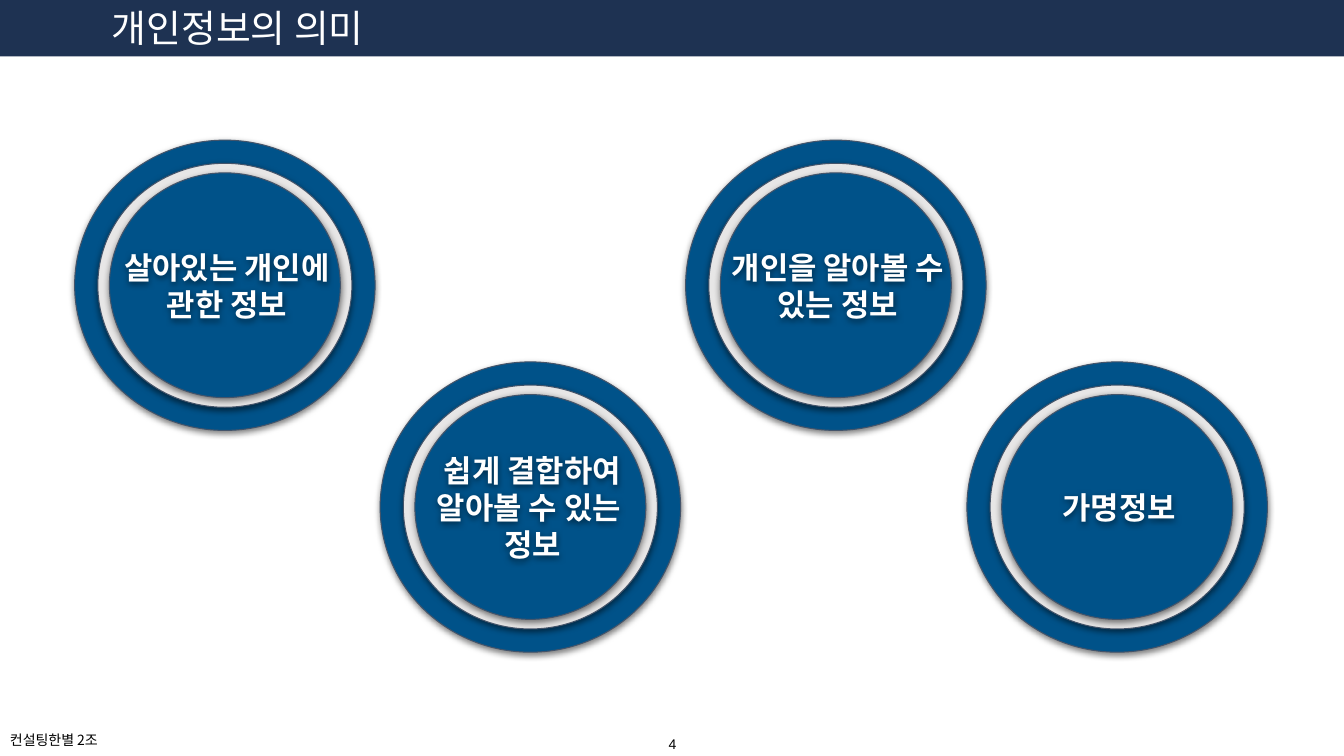
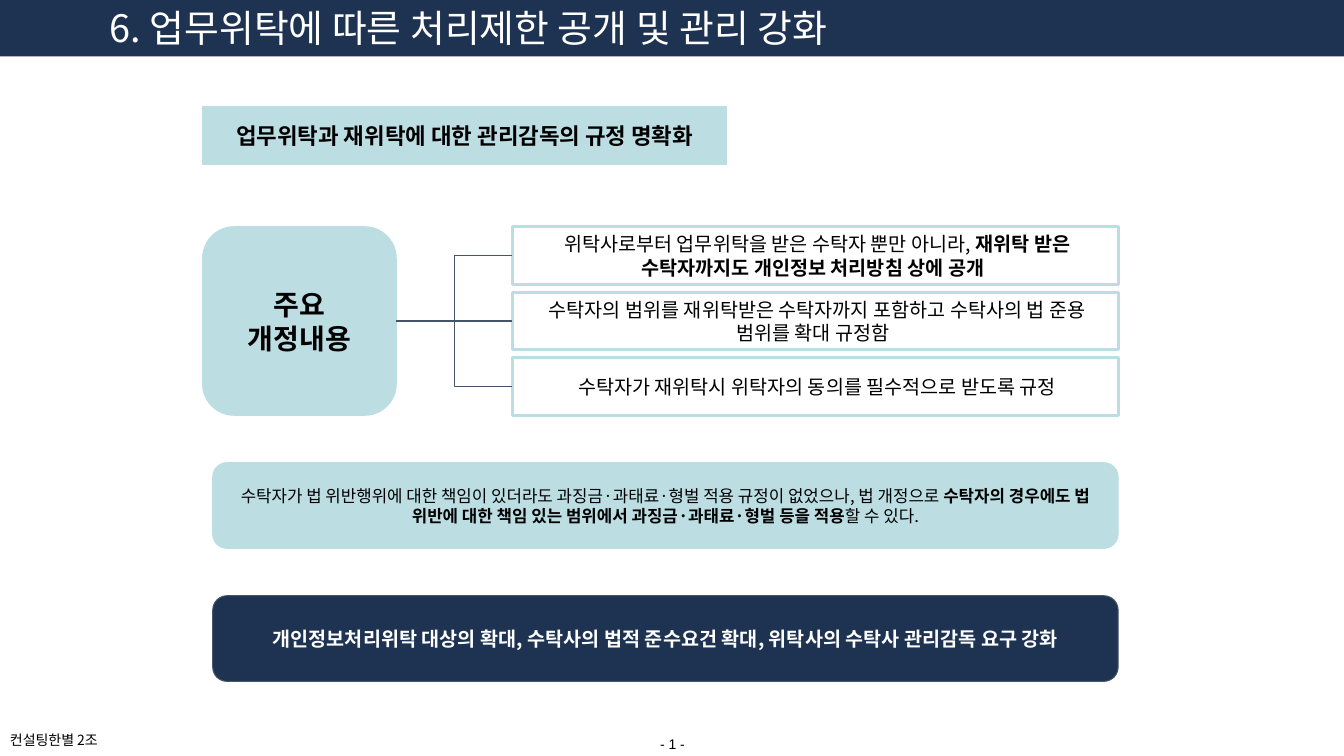
import dataclasses
import typing

import lxml.etree
import pptx
import pptx.dml.color
import pptx.enum.shapes
import pptx.enum.text
import pptx.oxml.ns
import pptx.shapes.autoshape
import pptx.slide
import pptx.util

Inches = pptx.util.Inches
Pt = pptx.util.Pt
RGBColor = pptx.dml.color.RGBColor
Shape = pptx.shapes.autoshape.Shape
Slide = pptx.slide.Slide
Kind = pptx.enum.shapes.MSO_SHAPE
Align = pptx.enum.text.PP_ALIGN
Anchor = pptx.enum.text.MSO_ANCHOR
qn = pptx.oxml.ns.qn

NAVY = RGBColor(0x1E, 0x32, 0x52)
BLUE = RGBColor(0x00, 0x52, 0x89)
SILVER = RGBColor(0xE7, 0xE6, 0xE6)
AQUA = RGBColor(0xBC, 0xDE, 0xE3)
SLATE = RGBColor(0x44, 0x54, 0x6A)
WHITE = RGBColor(0xFF, 0xFF, 0xFF)
BLACK = RGBColor(0x00, 0x00, 0x00)

KOREAN = "Noto Sans CJK KR"
LATIN = "Arial"
FOOTER = "컨설팅한별 2조"


class Span(typing.NamedTuple):
    text: str
    bold: bool = False


Paragraphs = list[list[Span]]


class Area(typing.NamedTuple):
    left: float
    top: float
    width: float
    height: float

    def lengths(self) -> list[pptx.util.Length]:
        return [Inches(value) for value in self]


@dataclasses.dataclass(frozen=True)
class Badge:
    center_x: float
    center_y: float
    paragraphs: Paragraphs


@dataclasses.dataclass(frozen=True)
class Panel:
    area: Area
    paragraphs: Paragraphs
    size: int
    kind: Kind = Kind.RECTANGLE
    fill: RGBColor = AQUA
    line: RGBColor = AQUA
    line_width: float = 0.75
    color: RGBColor = BLACK


RINGS = [(2.98, 2.88, BLUE), (2.52, 2.42, SILVER), (2.29, 2.23, BLUE)]

BADGES = [
    Badge(2.23, 2.83, [[Span("살아있는 개인에 관한 정보", True)]]),
    Badge(5.26, 5.03, [[Span("쉽게 결합하여 알아볼 수 있는 ", True)], [Span("정보", True)]]),
    Badge(11.08, 5.03, [[Span("가명정보", True)]]),
    Badge(8.29, 2.83, [[Span("개인을 알아볼 수 있는 정보", True)]]),
]

HEADING = Panel(
    Area(2.01, 1.06, 5.2, 0.57),
    [[Span("업무위탁과 재위탁에 대한 관리감독의 규정 명확화", True)]],
    16,
)

HUB = Panel(
    Area(2.01, 2.25, 1.92, 1.87),
    [[Span("주요 개정내용", True)]],
    20,
    kind=Kind.ROUNDED_RECTANGLE,
)

DETAIL_TOP, DETAIL_STEP = 2.25, 0.65
DETAILS = [
    [
        Span(" 위탁사로부터 업무위탁을 받은 수탁자 뿐만 아니라, "),
        Span("재위탁 받은 수탁자까지도 개인정보 처리방침 상에 공개 ", True),
    ],
    [Span(" 수탁자의 범위를 재위탁받은 수탁자까지 포함하고 수탁사의 법 준용 범위를 확대 규정함 ")],
    [Span(" 수탁자가 재위탁시 위탁자의 동의를 필수적으로 받도록 규정")],
]

LIABILITY = Panel(
    Area(2.11, 4.59, 8.98, 0.85),
    [[
        Span("수탁자가 법 위반행위에 대한 책임이 있더라도 과징금·과태료·형벌 적용 규정이 없었으나, 법 개정으로 "),
        Span("수탁자의 경우에도 법 위반에 대한 책임 있는 범위에서 과징금·과태료·형벌 등을 적용", True),
        Span("할 수 있다."),
    ]],
    12,
    kind=Kind.ROUNDED_RECTANGLE,
)

CONCLUSION = Panel(
    Area(2.11, 5.91, 8.98, 0.85),
    [[Span("개인정보처리위탁 대상의 확대, 수탁사의 법적 준수요건 확대, 위탁사의 수탁사 관리감독 요구 강화", True)]],
    14,
    kind=Kind.ROUNDED_RECTANGLE,
    fill=NAVY,
    line=SLATE,
    color=WHITE,
)


def write_text(
    box: Shape,
    paragraphs: Paragraphs,
    *,
    size: int,
    color: RGBColor = BLACK,
    font: str = KOREAN,
    align: Align = Align.CENTER,
    anchor: Anchor = Anchor.MIDDLE,
    inset: float = 0.05,
) -> None:
    frame = box.text_frame
    frame.word_wrap = True
    frame.vertical_anchor = anchor
    frame.margin_left = frame.margin_right = Inches(0.1)
    frame.margin_top = frame.margin_bottom = Inches(inset)
    for index, spans in enumerate(paragraphs):
        para = frame.paragraphs[0] if index == 0 else frame.add_paragraph()
        para.alignment = align
        for span in spans:
            run = para.add_run()
            run.text = span.text
            run.font.size = Pt(size)
            run.font.bold = span.bold
            run.font.color.rgb = color
            run.font.name = font
            latin = run.font._element.find(qn("a:latin"))
            east_asian = lxml.etree.Element(qn("a:ea"), typeface=font)
            latin.addnext(east_asian)


def add_box(
    shapes: typing.Any,
    kind: Kind,
    area: Area,
    fill: RGBColor,
    line: typing.Optional[RGBColor] = None,
    line_width: float = 0.75,
) -> Shape:
    box = shapes.add_shape(kind, *area.lengths())
    box.fill.solid()
    box.fill.fore_color.rgb = fill
    if line is None:
        box.line.fill.background()
    else:
        box.line.color.rgb = line
        box.line.width = Pt(line_width)
    box.shadow.inherit = False
    return box


def add_soft_shadow(box: Shape) -> None:
    box.shadow.inherit = False
    effects = box._element.spPr.find(qn("a:effectLst"))
    shadow = lxml.etree.SubElement(
        effects, qn("a:outerShdw"),
        blurRad=str(Pt(4.5)), dist=str(Pt(1.5)), dir="5400000", rotWithShape="0",
    )
    tint = lxml.etree.SubElement(shadow, qn("a:srgbClr"), val=str(BLACK))
    lxml.etree.SubElement(tint, qn("a:alpha"), val="50000")


def add_page(deck: typing.Any, title: str, title_left: float, number: str) -> Slide:
    page = deck.slides.add_slide(deck.slide_layouts[6])
    shapes = page.shapes
    footer = shapes.add_textbox(*Area(0, 7.17, 1.41, 0.37).lengths())
    write_text(footer, [[Span(FOOTER)]], size=10, align=Align.LEFT, anchor=Anchor.TOP, inset=0.1)
    add_box(shapes, Kind.RECTANGLE, Area(0, 0, 13.33, 0.56), NAVY)
    heading = shapes.add_textbox(*Area(title_left, 0, 11, 0.58).lengths())
    write_text(heading, [[Span(title)]], size=27, color=WHITE, align=Align.LEFT, anchor=Anchor.TOP)
    page_number = shapes.add_textbox(*Area(6.27, 7.25, 0.8, 0.29).lengths())
    write_text(page_number, [[Span(number)]], size=10, font=LATIN, anchor=Anchor.TOP)
    return page


def add_badge(page: Slide, badge: Badge) -> None:
    group = page.shapes.add_group_shape()
    for width, height, fill in RINGS:
        area = Area(badge.center_x - width / 2, badge.center_y - height / 2, width, height)
        add_soft_shadow(add_box(group.shapes, Kind.OVAL, area, fill, SLATE))
    label_area = Area(badge.center_x - 1.33, badge.center_y - 1.18, 2.7, 2.36)
    label = group.shapes.add_textbox(*label_area.lengths())
    add_soft_shadow(label)
    write_text(label, badge.paragraphs, size=22, color=WHITE)


def add_panel(page: Slide, panel: Panel) -> Shape:
    box = add_box(page.shapes, panel.kind, panel.area, panel.fill, panel.line, panel.line_width)
    write_text(box, panel.paragraphs, size=panel.size, color=panel.color, inset=0.1)
    return box


def connect(page: Slide, start: Shape, end: Shape) -> None:
    start_y = start.top + start.height // 2
    end_y = end.top + end.height // 2
    level = abs(start_y - end_y) < Inches(0.02)
    kinds = pptx.enum.shapes.MSO_CONNECTOR
    link = page.shapes.add_connector(
        kinds.STRAIGHT if level else kinds.ELBOW,
        start.left + start.width, start_y, end.left, end_y,
    )
    link.begin_connect(start, 3)
    link.end_connect(end, 1)
    link.line.color.rgb = SLATE
    link.line.width = Pt(0.75)
    lxml.etree.SubElement(link._element.spPr, qn("a:effectLst"))


def build_meaning_page(deck: typing.Any) -> None:
    page = add_page(deck, "개인정보의 의미", 1.01, "4")
    for badge in BADGES:
        add_badge(page, badge)


def build_outsourcing_page(deck: typing.Any) -> None:
    page = add_page(deck, "6. 업무위탁에 따른 처리제한 공개 및 관리 강화", 0.99, "- 1 -")
    add_panel(page, HEADING)
    hub = add_panel(page, HUB)
    for row, spans in enumerate(DETAILS):
        area = Area(5.08, DETAIL_TOP + row * DETAIL_STEP, 6.01, 0.57)
        detail = add_panel(page, Panel(area, [spans], 14, fill=WHITE, line_width=2.25))
        connect(page, hub, detail)
    add_panel(page, LIABILITY)
    add_panel(page, CONCLUSION)


def main() -> None:
    deck = pptx.Presentation()
    deck.slide_width = Inches(13.33)
    deck.slide_height = Inches(7.5)
    build_meaning_page(deck)
    build_outsourcing_page(deck)
    deck.save("out.pptx")


if __name__ == "__main__":
    main()
